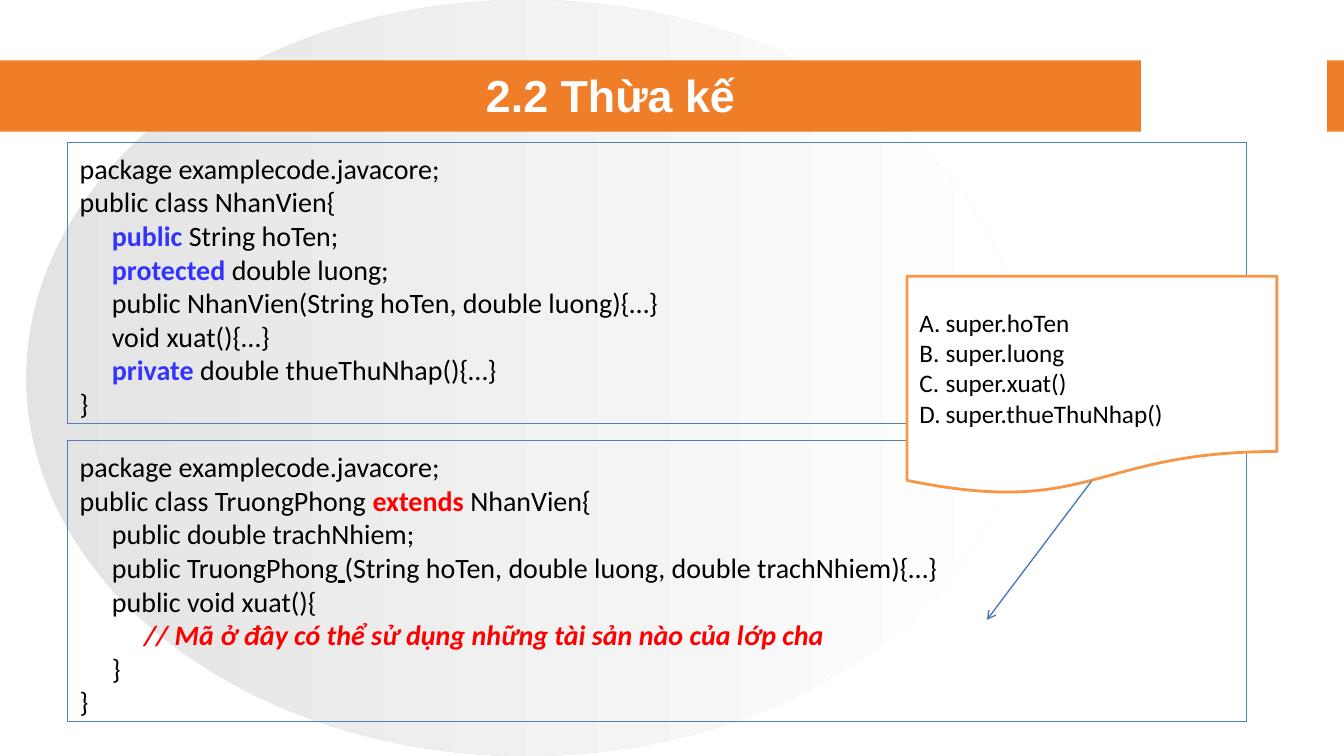
import dataclasses
import typing
import pptx
import pptx.dml.color
import pptx.enum.dml
import pptx.enum.shapes
import pptx.enum.text
import pptx.oxml
import pptx.oxml.ns
import pptx.util

Cm = pptx.util.Cm
Pt = pptx.util.Pt
Kind = pptx.enum.shapes.MSO_SHAPE
Piece = tuple[str, str]
STEP = 0.81
NS = pptx.oxml.ns.nsdecls("a")


@dataclasses.dataclass
class Row:
    depth: int
    words: list[Piece]


@dataclasses.dataclass
class Box:
    kind: typing.Any
    left: float
    top: float
    width: float
    height: float
    fill: str = ""
    line: str = ""
    weight: float = 0.75


def tint(code: str) -> pptx.dml.color.RGBColor:
    return pptx.dml.color.RGBColor.from_string(code)


STYLES: dict[str, dict[str, typing.Any]] = {
    "plain": {"color": "000000"},
    "under": {"color": "000000", "underline": True},
    "blue": {"color": "3333FF", "bold": True},
    "red": {"color": "FF0000", "bold": True},
    "note": {"color": "FF0000", "bold": True, "italic": True},
    "title": {"color": "FFFFFF", "bold": True},
}


def draw(slide: typing.Any, box: Box) -> typing.Any:
    shape = slide.shapes.add_shape(
        box.kind, Cm(box.left), Cm(box.top), Cm(box.width), Cm(box.height))
    shape.shadow.inherit = False
    for paint, code in ((shape.fill, box.fill), (shape.line.fill, box.line)):
        if code:
            paint.solid()
            paint.fore_color.rgb = tint(code)
        else:
            paint.background()
    if box.line:
        shape.line.width = Pt(box.weight)
    return shape


def add_run(para: typing.Any, text: str, style: str, size: float, face: str) -> None:
    run = para.add_run()
    run.text = text
    values = {"name": face, "size": Pt(size)} | STYLES[style]
    for name, value in values.items():
        if name == "color":
            run.font.color.rgb = tint(value)
        else:
            setattr(run.font, name, value)


def write(shape: typing.Any, rows: list[Row], size: float, pad: float,
          list_gap: float = 0) -> None:
    frame = shape.text_frame
    values = {"word_wrap": True, "margin_left": Cm(0.31), "margin_top": Cm(pad),
              "margin_right": Cm(0), "margin_bottom": Cm(0),
              "vertical_anchor": pptx.enum.text.MSO_ANCHOR.TOP}
    for name, value in values.items():
        setattr(frame, name, value)
    for index, row in enumerate(rows):
        para = frame.add_paragraph() if index else frame.paragraphs[0]
        para.alignment = pptx.enum.text.PP_ALIGN.LEFT
        para.line_spacing = Pt(size * 1.2)
        props = para._p.get_or_add_pPr()
        props.set("marL", str(Cm(row.depth * STEP + list_gap)))
        props.set("indent", str(-Cm(list_gap)))
        if list_gap:
            props.append(pptx.oxml.parse_xml(f'<a:buFont {NS} typeface="Calibri"/>'))
            props.append(pptx.oxml.parse_xml(
                f'<a:buAutoNum {NS} type="alphaUcPeriod"/>'))
        for text, style in row.words:
            add_run(para, text, style, size, "Calibri")


def plain(depth: int, text: str) -> Row:
    return Row(depth, [(text, "plain")])


def field(word: str, rest: str) -> Row:
    return Row(1, [(word + " ", "blue"), (rest, "plain")])


PACK = plain(0, "package examplecode.javacore;")
BASE = [
    PACK,
    plain(0, "public class NhanVien{"),
    field("public", "String hoTen;"),
    field("protected", "double luong;"),
    plain(1, "public NhanVien(String hoTen, double luong){…}"),
    plain(1, "void xuat(){…}"),
    field("private", "double thueThuNhap(){…}"),
    plain(0, "}"),
]
CHILD = [
    PACK,
    Row(0, [("public class TruongPhong ", "plain"), ("extends ", "red"),
            ("NhanVien{", "plain")]),
    plain(1, "public double trachNhiem;"),
    Row(1, [("public TruongPhong", "plain"), (" ", "under"),
            ("(String hoTen, double luong, double trachNhiem){…}", "plain")]),
    plain(1, "public void xuat(){"),
    Row(2, [("// Mã ở đây có thể sử dụng những tài sản nào của lớp cha", "note")]),
    plain(1, "}"),
    plain(0, "}"),
]
CALLS = [plain(0, "super." + name)
         for name in ("hoTen", "luong", "xuat()", "thueThuNhap()")]

deck = pptx.Presentation()
deck.slide_width, deck.slide_height = Cm(33.87), Cm(19.05)
slide = deck.slides.add_slide(deck.slide_layouts[5])

disc = draw(slide, Box(Kind.OVAL, 0.66, 0, 25.2, 19.05))
disc.fill.gradient()
disc.fill.gradient_angle = 0
for stop, code in zip(disc.fill.gradient_stops, ("E3E3E3", "FFFFFF")):
    stop.color.rgb = tint(code)

draw(slide, Box(Kind.RECTANGLE, 0, 1.52, 33.87, 1.8, "F07D27"))
draw(slide, Box(Kind.RECTANGLE, 28.78, 1.52, 4.65, 1.8, "FFFFFF", "FFFFFF"))

for index, rows in enumerate((BASE, CHILD)):
    panel = Box(Kind.RECTANGLE, 1.7, 3.58 + index * 7.52, 29.72, 7.09, line="4F81BD")
    write(draw(slide, panel), rows, 20, 0.23)

card = draw(slide, Box(Kind.FLOWCHART_DOCUMENT, 22.86, 6.96, 9.32, 5.51,
                       "FFFFFF", "F79646", 2))
write(card, CALLS, 18, 0.78, 0.66)

arrow = slide.shapes.add_connector(
    pptx.enum.shapes.MSO_CONNECTOR.STRAIGHT,
    Cm(27.51), Cm(12.12), Cm(24.87), Cm(15.62))
arrow.line.color.rgb = tint("4A7EBB")
arrow.line.width = Pt(1)
arrow.line._get_or_add_ln().append(
    pptx.oxml.parse_xml(f'<a:tailEnd {NS} type="arrow"/>'))
arrow._element.spPr.append(pptx.oxml.parse_xml(f"<a:effectLst {NS}/>"))

title = slide.shapes.title
place = {"left": Cm(4.24), "top": Cm(1.7), "width": Cm(22.3), "height": Cm(1.35)}
for name, value in place.items():
    setattr(title, name, value)
title.text_frame.vertical_anchor = pptx.enum.text.MSO_ANCHOR.MIDDLE
head = title.text_frame.paragraphs[0]
head.alignment = pptx.enum.text.PP_ALIGN.CENTER
add_run(head, "2.2 Thừa kế", "title", 32, "Arial")
title.element.getparent().append(title.element)

deck.save("out.pptx")
